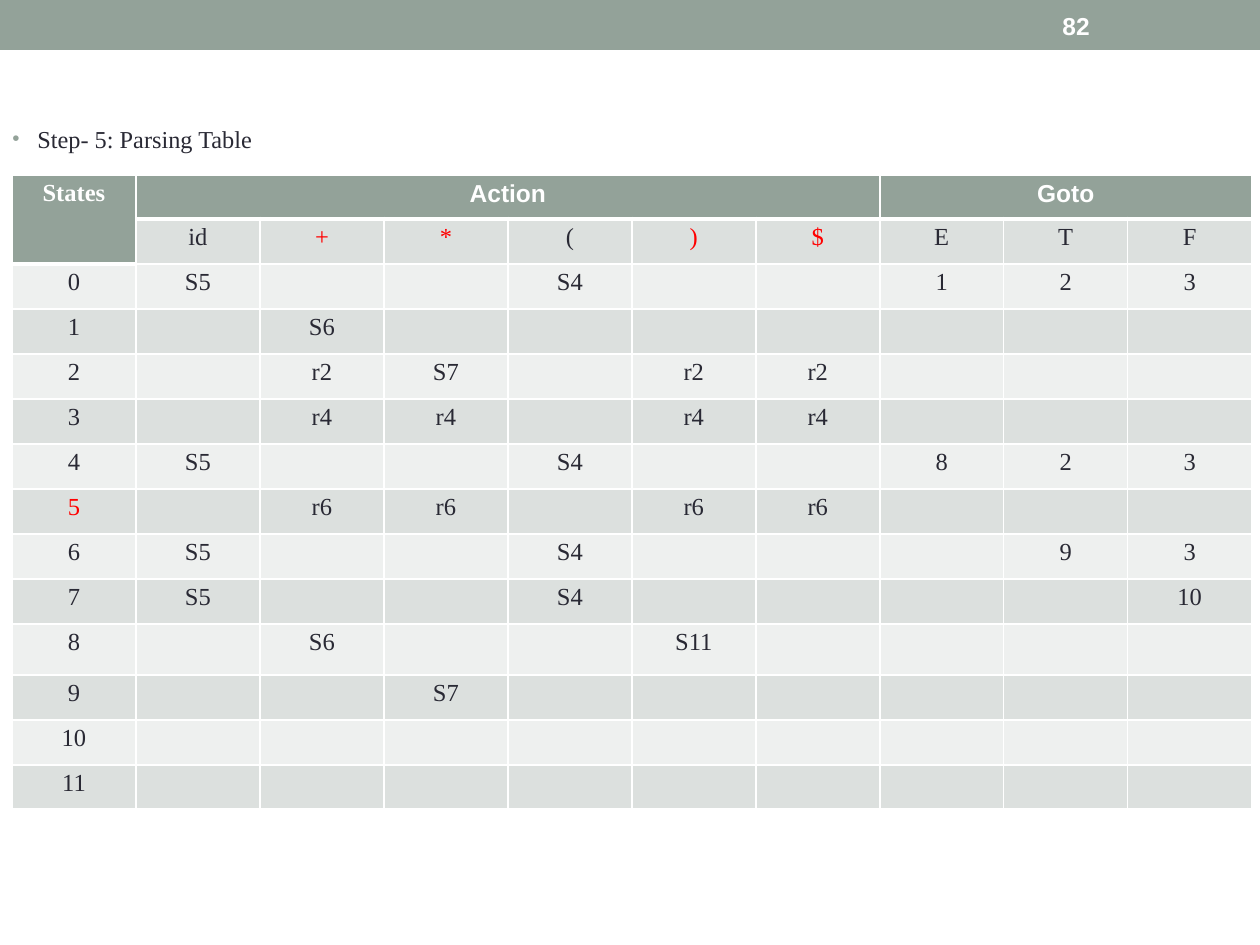
from lxml import etree
from pptx import Presentation
from pptx.dml.color import RGBColor
from pptx.enum.shapes import MSO_SHAPE
from pptx.enum.text import MSO_ANCHOR, PP_ALIGN
from pptx.oxml.ns import qn
from pptx.util import Pt

RECTANGLE = MSO_SHAPE.RECTANGLE
MIDDLE, TOP = MSO_ANCHOR.MIDDLE, MSO_ANCHOR.TOP
CENTER, LEFT = PP_ALIGN.CENTER, PP_ALIGN.LEFT
SANS, SERIF = "Arial", "Times New Roman"
COLORS = {
    "sage": "93A299",
    "ink": "292934",
    "white": "FFFFFF",
    "red": "FF0000",
    "dark_band": "DCE0DE",
    "light_band": "EEF0EF",
}


def px(length):
    """Turn pixels, 126 to the inch, into EMU."""
    return round(length * 914400 / 126)


def write_text(frame, text, *, font=SERIF, size=14, color="ink", bold=False,
               align=LEFT, anchor=TOP):
    frame.word_wrap = True
    frame.vertical_anchor = anchor
    paragraph = frame.paragraphs[0]
    paragraph.alignment = align
    if not text:
        # An empty cell still needs its text size, or its row grows.
        paragraph._p.get_or_add_endParaRPr().set("sz", str(size * 100))
        return
    run = paragraph.add_run()
    run.text = text
    run.font.name = font
    run.font.size = Pt(size)
    run.font.bold = bold
    run.font.color.rgb = RGBColor.from_string(COLORS[color])


presentation = Presentation()
presentation.slide_width = px(1260)
presentation.slide_height = px(945)
slide = presentation.slides.add_slide(presentation.slide_layouts[6])

# Top band and page number
band = slide.shapes.add_shape(RECTANGLE, 0, 0, px(1260), px(50))
band.shadow.inherit = False
band.fill.solid()
band.fill.fore_color.rgb = RGBColor.from_string(COLORS["sage"])
band.line.fill.background()

page_number = slide.shapes.add_textbox(px(1050), px(3), px(147), px(45))
write_text(page_number.text_frame, "82", font=SANS, color="white", bold=True,
           anchor=MIDDLE)

# Bulleted heading
heading = slide.shapes.add_textbox(0, px(118), px(280), px(53))
properties = heading.text_frame.paragraphs[0]._p.get_or_add_pPr()
properties.set("marL", str(px(25)))
properties.set("indent", str(-px(25)))
bullet_color = etree.SubElement(properties, qn("a:buClr"))
etree.SubElement(bullet_color, qn("a:srgbClr"), val=COLORS["sage"])
etree.SubElement(properties, qn("a:buSzPct"), val="85000")
etree.SubElement(properties, qn("a:buFont"), typeface=SANS)
etree.SubElement(properties, qn("a:buChar"), char="•")
write_text(heading.text_frame, "Step- 5: Parsing Table", size=13.9)

# Parsing table: one dict per state, keyed by column symbol
symbols = ["id", "+", "*", "(", ")", "$", "E", "T", "F"]
shift = {"id": "S5", "(": "S4"}
states = [
    {**shift, "E": "1", "T": "2", "F": "3"},
    {"+": "S6"},
    {"+": "r2", "*": "S7", ")": "r2", "$": "r2"},
    dict.fromkeys("+*)$", "r4"),
    {**shift, "E": "8", "T": "2", "F": "3"},
    dict.fromkeys("+*)$", "r6"),
    {**shift, "T": "9", "F": "3"},
    {**shift, "F": "10"},
    {"+": "S6", ")": "S11"},
    {"*": "S7"},
    {},
    {},
]
rows = [["States", "Action", "", "", "", "", "", "Goto", "", ""], ["", *symbols]]
for number, entries in enumerate(states):
    rows.append([str(number)] + [entries.get(symbol, "") for symbol in symbols])
red_cells = {(1, 2), (1, 3), (1, 5), (1, 6), (7, 0)}
row_heights = [44] + [45] * 9 + [51, 45, 45, 44]

table_frame = slide.shapes.add_table(len(rows), len(rows[0]), px(12), px(175),
                                     px(1240), px(sum(row_heights)))
table = table_frame.table
for column in table.columns:
    column.width = px(124)
for row, height in zip(table.rows, row_heights):
    row.height = px(height)

for row_index, texts in enumerate(rows):
    for column_index, text in enumerate(texts):
        cell = table.cell(row_index, column_index)
        position = (row_index, column_index)
        is_header = row_index == 0 or position == (1, 0)
        below_header = not is_header and (row_index == 1 or position == (2, 0))

        cell.margin_left = cell.margin_right = px(9)
        cell.margin_top = cell.margin_bottom = px(5)
        color = "white" if is_header else "red" if position in red_cells else "ink"
        font = SANS if text in ("Action", "Goto") else SERIF
        write_text(cell.text_frame, text, font=font, color=color,
                   bold=is_header, align=CENTER)

        cell_properties = cell._tc.get_or_add_tcPr()
        widths = {"L": 1, "R": 1, "T": 3 if below_header else 1,
                  "B": 3 if is_header else 1}
        for side, width in widths.items():
            border = etree.SubElement(cell_properties, qn(f"a:ln{side}"),
                                      w=str(Pt(width)))
            border_fill = etree.SubElement(border, qn("a:solidFill"))
            etree.SubElement(border_fill, qn("a:srgbClr"), val=COLORS["white"])

        stripe = "dark_band" if row_index % 2 else "light_band"
        cell.fill.solid()
        cell.fill.fore_color.rgb = RGBColor.from_string(
            COLORS["sage" if is_header else stripe])

table.cell(0, 0).merge(table.cell(1, 0))
table.cell(0, 1).merge(table.cell(0, 6))
table.cell(0, 7).merge(table.cell(0, 9))

presentation.save("out.pptx")
